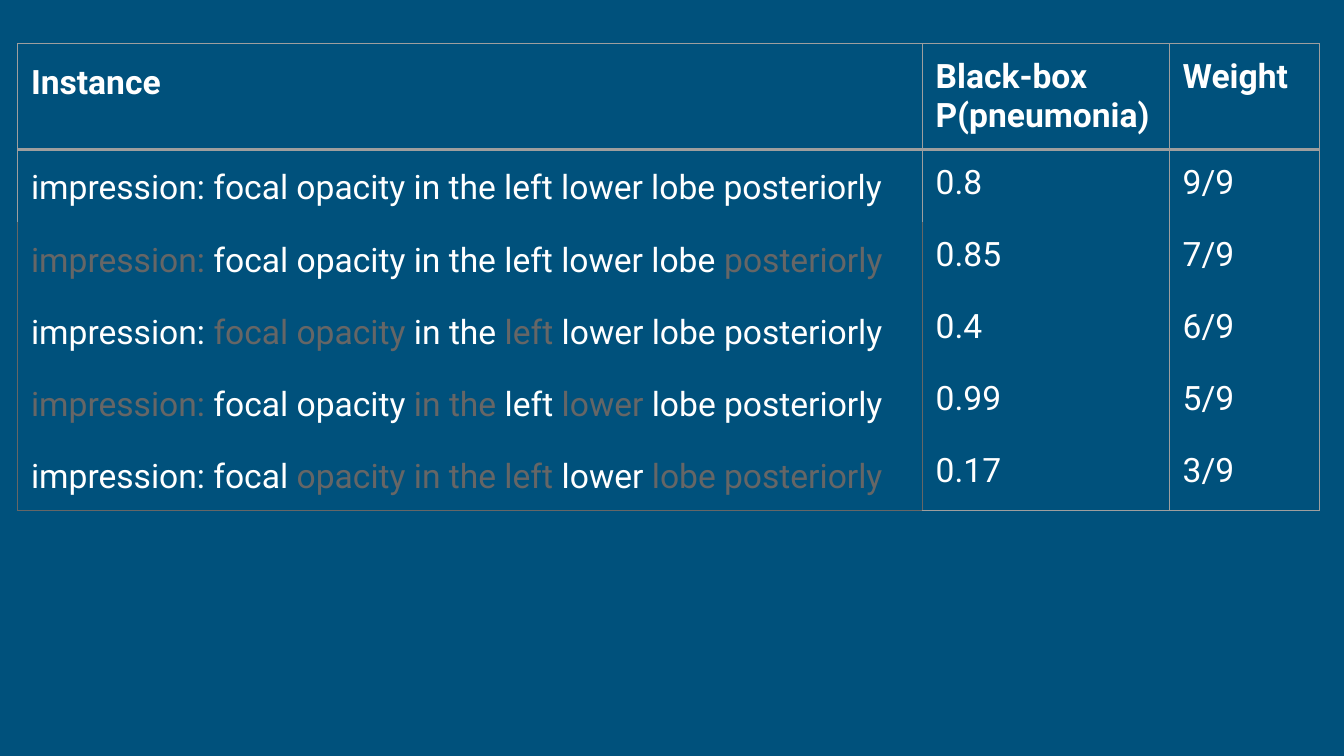
"""Build a slide with a table of perturbed instances, their predictions and weights."""

from dataclasses import dataclass

from lxml.etree import SubElement
from pptx import Presentation
from pptx.dml.color import RGBColor
from pptx.oxml.ns import qn
from pptx.table import Table, _Cell
from pptx.util import Emu, Pt

PIXEL = 5715
SLIDE_WIDTH = 1600
SLIDE_HEIGHT = 900
TABLE_LEFT = 21
TABLE_TOP = 52
COLUMN_WIDTHS = (1077, 294, 179)
HEADER_HEIGHT = 126
BODY_HEIGHT = 85
CELL_MARGIN = 16
BACKGROUND = "00517C"
WHITE = "FFFFFF"
MUTED = "666666"
RULE = "9E9E9E"
FONT = "Roboto"
MUTED_MARK = "|"


@dataclass(frozen=True)
class Row:
    instance: str
    probability: str
    weight: str


@dataclass(frozen=True)
class Border:
    color: str
    width: float = 0.75


ROWS = (
    Row("Instance", "Black-box\nP(pneumonia)", "Weight"),
    Row("impression: focal opacity in the left lower lobe posteriorly", "0.8", "9/9"),
    Row("|impression:| focal opacity in the left lower lobe |posteriorly|", "0.85", "7/9"),
    Row("impression: |focal opacity| in the |left| lower lobe posteriorly", "0.4", "6/9"),
    Row("|impression:| focal opacity |in the| left |lower| lobe posteriorly", "0.99", "5/9"),
    Row("impression: focal |opacity in the left| lower |lobe posteriorly|", "0.17", "3/9"),
)


def px(length: int) -> Emu:
    return Emu(length * PIXEL)


def rgb(color: str) -> RGBColor:
    return RGBColor.from_string(color)


def cell_borders(row: int, column: int) -> dict[str, Border | None]:
    last_row = len(ROWS) - 1
    muted_row = row >= 2
    return {
        "L": Border(MUTED if muted_row and column < 2 else RULE),
        "R": Border(MUTED if muted_row and column == 0 else RULE),
        "T": {0: Border(RULE), 1: Border(RULE, 1.5)}.get(row),
        "B": {
            0: Border(RULE, 1.5),
            last_row: Border(MUTED if column == 0 else RULE),
        }.get(row),
    }


def draw_borders(cell: _Cell, borders: dict[str, Border | None]) -> None:
    properties = cell._tc.get_or_add_tcPr()
    for position, (side, border) in enumerate(borders.items()):
        line = SubElement(properties, qn(f"a:ln{side}"))
        properties.insert(position, line)
        if border is None:
            SubElement(line, qn("a:noFill"))
            continue
        line.set("w", str(Pt(border.width)))
        fill = SubElement(line, qn("a:solidFill"))
        SubElement(fill, qn("a:srgbClr")).set("val", border.color)


def write_cell(cell: _Cell, text: str, bold: bool, spaced: bool) -> None:
    cell.margin_left = cell.margin_right = px(CELL_MARGIN)
    cell.margin_top = cell.margin_bottom = px(CELL_MARGIN)
    frame = cell.text_frame
    for number, line in enumerate(text.split("\n")):
        paragraph = frame.add_paragraph() if number else frame.paragraphs[0]
        paragraph.font.name = FONT
        paragraph.font.size = Pt(18)
        paragraph.font.bold = bold
        if spaced:
            paragraph.line_spacing = 1.15
            paragraph.space_after = Pt(16)
        for index, part in enumerate(line.split(MUTED_MARK)):
            if part:
                run = paragraph.add_run()
                run.text = part
                run.font.color.rgb = rgb(MUTED if index % 2 else WHITE)


def fill_table(table: Table) -> None:
    table.first_row = False
    table.horz_banding = False
    for column, width in zip(table.columns, COLUMN_WIDTHS):
        column.width = px(width)
    for row_index, row in enumerate(ROWS):
        header = row_index == 0
        table.rows[row_index].height = px(HEADER_HEIGHT if header else BODY_HEIGHT)
        texts = (row.instance, row.probability, row.weight)
        for column_index, text in enumerate(texts):
            cell = table.cell(row_index, column_index)
            cell.fill.background()
            draw_borders(cell, cell_borders(row_index, column_index))
            write_cell(cell, text, bold=header, spaced=column_index == 0)


def main() -> None:
    presentation = Presentation()
    presentation.slide_width = px(SLIDE_WIDTH)
    presentation.slide_height = px(SLIDE_HEIGHT)
    slide = presentation.slides.add_slide(presentation.slide_layouts[6])
    slide.background.fill.solid()
    slide.background.fill.fore_color.rgb = rgb(BACKGROUND)
    frame = slide.shapes.add_table(
        len(ROWS),
        len(COLUMN_WIDTHS),
        px(TABLE_LEFT),
        px(TABLE_TOP),
        px(sum(COLUMN_WIDTHS)),
        px(HEADER_HEIGHT + BODY_HEIGHT * (len(ROWS) - 1)),
    )
    fill_table(frame.table)
    presentation.save("out.pptx")


if __name__ == "__main__":
    main()
